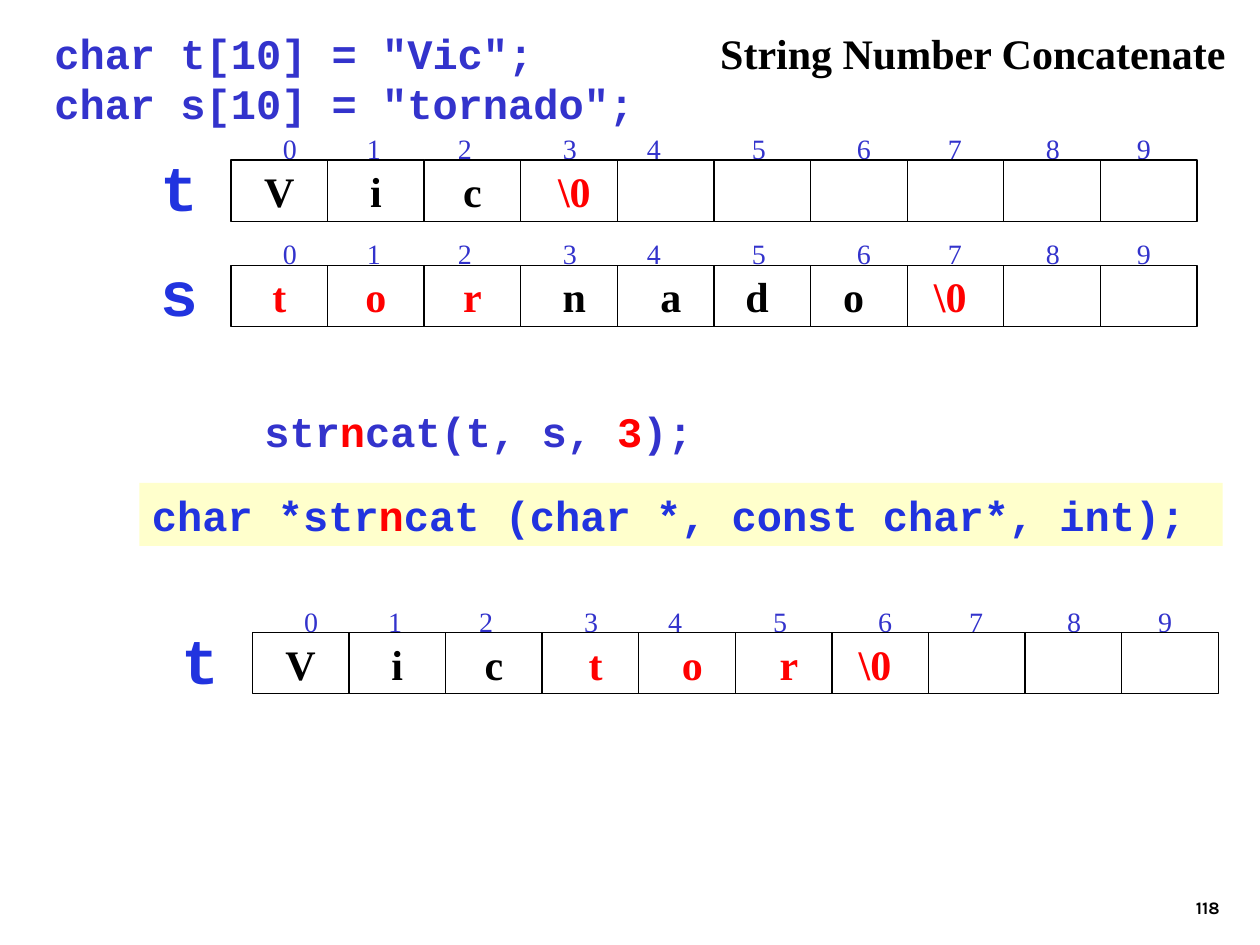
from itertools import accumulate

from lxml import etree
from pptx import Presentation
from pptx.dml.color import RGBColor
from pptx.enum import shapes, text
from pptx.oxml import ns
from pptx.util import Pt

BLACK = RGBColor(0, 0, 0)
RED = RGBColor(0xFF, 0, 0)
BLUE = RGBColor(0x33, 0x33, 0xCC)
ROYAL = RGBColor(0x21, 0x33, 0xDF)
CREAM = RGBColor(0xFF, 0xFF, 0xCC)
CODE, SERIF, SANS = "Courier New", "Times New Roman", "Karla"
LEFT, MID, RIGHT = text.PP_ALIGN.LEFT, text.PP_ALIGN.CENTER, text.PP_ALIGN.RIGHT
TOP, HALF, BASE = (text.MSO_ANCHOR.TOP, text.MSO_ANCHOR.MIDDLE,
                   text.MSO_ANCHOR.BOTTOM)

# Each line is a list of runs: (words, colour)
DECLS = [[('char t[10] = "Vic";', BLUE)], [('char s[10] = "tornado";', BLUE)]]
TITLE = [[("String Number Concatenate", BLACK)]]
CALL = [[("str", BLUE), ("n", RED), ("cat(t, s, ", BLUE), ("3", RED), (");", BLUE)]]
PROTO = [[("char *str", ROYAL), ("n", RED),
          ("cat (char *, const char*, int);", ROYAL)]]
PAGE = [[("118", BLACK)]]

# Each array: name, left, top of its index row, cells of runs
ARRAYS = [
    ("t", 132, 66.5, [[("V", BLACK)], [("i", BLACK)], [("c", BLACK)],
                      [(" ", BLACK), ("\\0", RED)]]),
    ("s", 132, 126.5, [[("t", RED)], [("o", RED)], [("r", RED)], [(" n", BLACK)],
                       [(" a", BLACK)], [("d ", BLACK)], [("o ", BLACK)],
                       [("\\0 ", RED)]]),
    ("t", 144.2, 336.5, [[("V", BLACK)], [("i", BLACK)], [("c", BLACK)],
                         [(" ", BLACK), ("t", RED)], [(" ", BLACK), ("o", RED)],
                         [(" ", BLACK), ("r", RED)], [("\\0 ", RED)]]),
]
COUNT, CELL_W, CELL_H, DROP = 10, 55.2, 35, 25
# Index digits sit at uneven steps: first offset, then step widths
STOPS = list(accumulate([22.5, 48, 52, 60, 48, 60, 60, 52, 56, 52]))


def write(shape, lines, size, font=CODE, bold=True, align=LEFT, anchor=TOP,
          wrap=True):
    frame = shape.text_frame
    frame.word_wrap = wrap
    frame.vertical_anchor = anchor
    for i, line in enumerate(lines):
        para = frame.paragraphs[0] if i == 0 else frame.add_paragraph()
        para.alignment = align
        for words, color in line:
            run = para.add_run()
            run.text = words
            run.font.name, run.font.size, run.font.bold = font, Pt(size), bold
            run.font.color.rgb = color
    return frame


def label(host, place, lines, size, **style):
    box = host.add_textbox(*map(Pt, place))
    return write(box, lines, size, **style)


def rect(host, place):
    shape = host.add_shape(shapes.MSO_SHAPE.RECTANGLE, *map(Pt, place))
    shape.shadow.inherit = False
    shape.fill.background()
    shape.line.fill.background()
    return shape


def set_tabs(para, stops):
    tabs = etree.SubElement(para._p.get_or_add_pPr(), ns.qn("a:tabLst"))
    for stop in stops:
        etree.SubElement(tabs, ns.qn("a:tab"), pos=str(int(Pt(stop))), algn="l")


def array(host, name, left, top, cells):
    group = host.add_group_shape().shapes
    digits = "\t".join(map(str, range(COUNT)))
    para = label(group, (left, top, COUNT * CELL_W, CELL_H),
                 [[("\t", BLACK), (digits, BLUE)]], 16, font=SERIF, bold=False,
                 anchor=HALF).paragraphs[0]
    para.runs[0].font.size = Pt(18)
    set_tabs(para, STOPS)
    for i in range(COUNT):
        cell = rect(group, (left + i * CELL_W, top + DROP, CELL_W, CELL_H))
        cell.line.color.rgb = BLACK
        cell.line.width = Pt(0.75)
        if i < len(cells):
            write(cell, [cells[i]], 24, font=SERIF, align=MID, anchor=HALF,
                  wrap=False)
    label(host, (left - 47.8, top + 15, 36, 50.4), [[(name, ROYAL)]], 36,
          align=RIGHT, wrap=False)


deck = Presentation()
deck.slide_width, deck.slide_height = Pt(720), Pt(540)
items = deck.slides.add_slide(deck.slide_layouts[6]).shapes

label(items, (554, 492, 150, 36), PAGE, 10, font=SANS, align=RIGHT, anchor=BASE)
label(items, (144, 228, 498, 36), CALL, 24)
label(items, (24, 12, 534, 94), DECLS, 24)
label(items, (404.5, 12, 304, 36), TITLE, 24, font=SERIF, wrap=False)
for row in ARRAYS:
    array(items, *row)
band = rect(items, (79.7, 276, 619, 36))
band.fill.solid()
band.fill.fore_color.rgb = CREAM
write(band, PROTO, 24)

deck.save("out.pptx")
